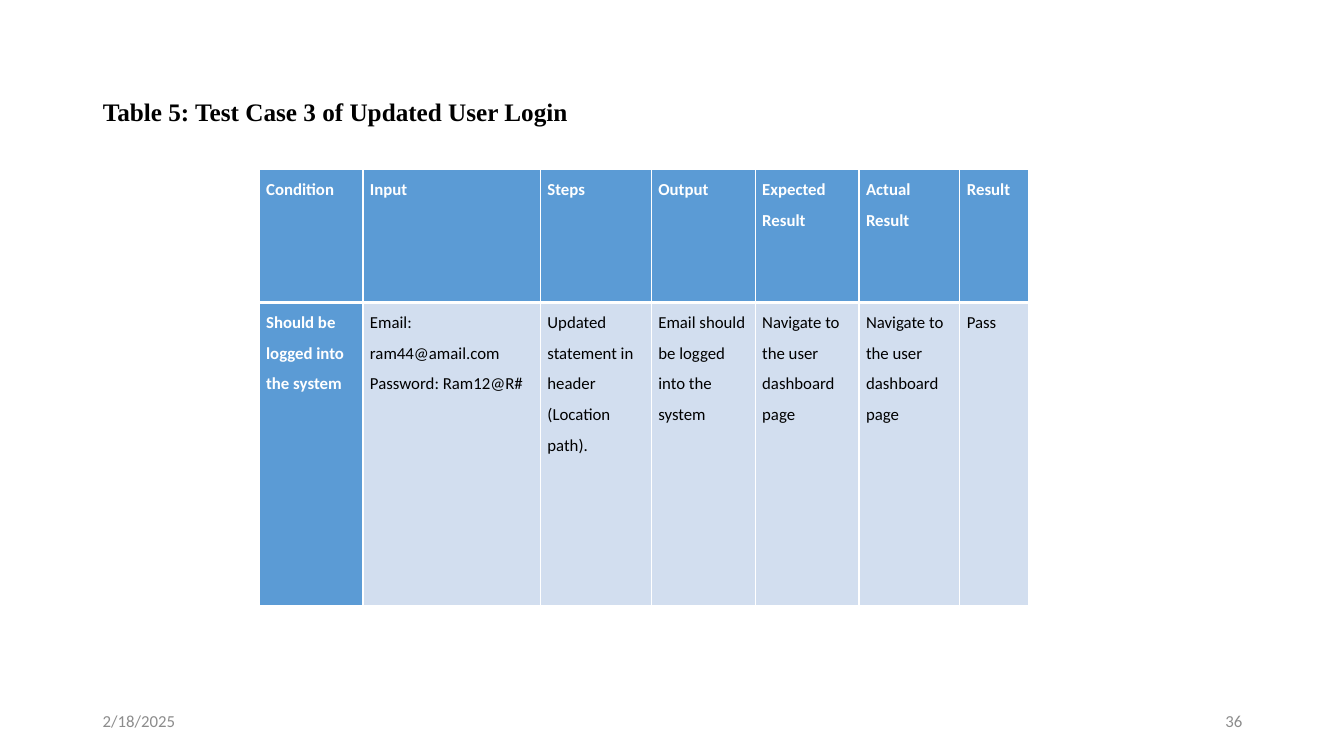
from lxml import etree
from pptx import Presentation, util as u
from pptx.dml.color import RGBColor
from pptx.enum import text
from pptx.oxml import ns

PX = 9144
BLACK = RGBColor(0, 0, 0)
WHITE = RGBColor(255, 255, 255)
BLUE = RGBColor(0x5B, 0x9B, 0xD5)
PALE = RGBColor(0xD2, 0xDE, 0xEF)
GREY = RGBColor(0x8C, 0x8C, 0x8C)
LEFT, RIGHT = text.PP_ALIGN.LEFT, text.PP_ALIGN.RIGHT
MIDDLE = text.MSO_ANCHOR.MIDDLE

COLS = [103, 176, 110, 103, 103, 100, 68]
ROWS = [132, 301]
CELLS = [
    ["Condition", "Input", "Steps", "Output",
     "Expected Result", "Actual Result", "Result"],
    ["Should be logged into the system",
     "Email: ram44@amail.com\nPassword: Ram12@R#",
     "Updated statement in header (Location path).",
     "Email should be logged into the system",
     "Navigate to the user dashboard page",
     "Navigate to the user dashboard page", "Pass"],
]


def scale(*box):
    return [n * PX for n in box]


def style(para, size, color, bold=False, face="Calibri"):
    font = para.font
    font.size, font.bold, font.name = u.Pt(size), bold, face
    font.color.rgb = color


def add_title(slide, box, words):
    title = slide.shapes.title
    title.left, title.top, title.width, title.height = scale(*box)
    frame = title.text_frame
    frame.text = words
    frame.vertical_anchor = MIDDLE
    frame.auto_size = text.MSO_AUTO_SIZE.NONE
    para = frame.paragraphs[0]
    para.alignment, para.line_spacing = LEFT, 0.9
    style(para, 18, BLACK, True, "Times New Roman")


def add_edges(cell, row):
    props = cell._tc.get_or_add_tcPr()
    thick = "lnB" if row == 0 else "lnT"
    for spot, side in enumerate(["lnL", "lnR", "lnT", "lnB"]):
        width = u.Pt(3 if side == thick else 1)
        line = etree.Element(ns.qn("a:" + side), w=str(width))
        fill = etree.SubElement(line, ns.qn("a:solidFill"))
        etree.SubElement(fill, ns.qn("a:srgbClr"), val=str(WHITE))
        props.insert(spot, line)


def fill_cell(cell, words, row, head):
    cell.text = words
    cell.margin_left = cell.margin_right = 7 * PX
    cell.margin_top = cell.margin_bottom = 0
    cell.fill.solid()
    cell.fill.fore_color.rgb = BLUE if head else PALE
    for para in cell.text_frame.paragraphs:
        para.line_spacing = 1.5
        style(para, 12, WHITE if head else BLACK, head)
    add_edges(cell, row)


def add_cases(slide, left, top):
    box = scale(left, top, sum(COLS), sum(ROWS))
    table = slide.shapes.add_table(len(ROWS), len(COLS), *box).table
    table.first_col = True
    for col, width in zip(table.columns, COLS):
        col.width = width * PX
    for row, height in zip(table.rows, ROWS):
        row.height = height * PX
    for r, line in enumerate(CELLS):
        for c, words in enumerate(line):
            fill_cell(table.cell(r, c), words, r, r == 0 or c == 0)


def add_foot(slide, box, words, align):
    frame = slide.shapes.add_textbox(*scale(*box)).text_frame
    frame.word_wrap = True
    frame.vertical_anchor = MIDDLE
    frame.text = words
    para = frame.paragraphs[0]
    para.alignment = align
    style(para, 12, GREY)


def main():
    deck = Presentation()
    deck.slide_width, deck.slide_height = scale(1333, 750)
    slide = deck.slides.add_slide(deck.slide_layouts[5])
    add_title(slide, (92, 40, 1150, 145),
              "Table 5: Test Case 3 of Updated User Login")
    add_cases(slide, 257, 168)
    add_foot(slide, (92, 695, 300, 40), "2/18/2025", LEFT)
    add_foot(slide, (942, 695, 300, 40), "36", RIGHT)
    deck.save("out.pptx")


if __name__ == "__main__":
    main()
